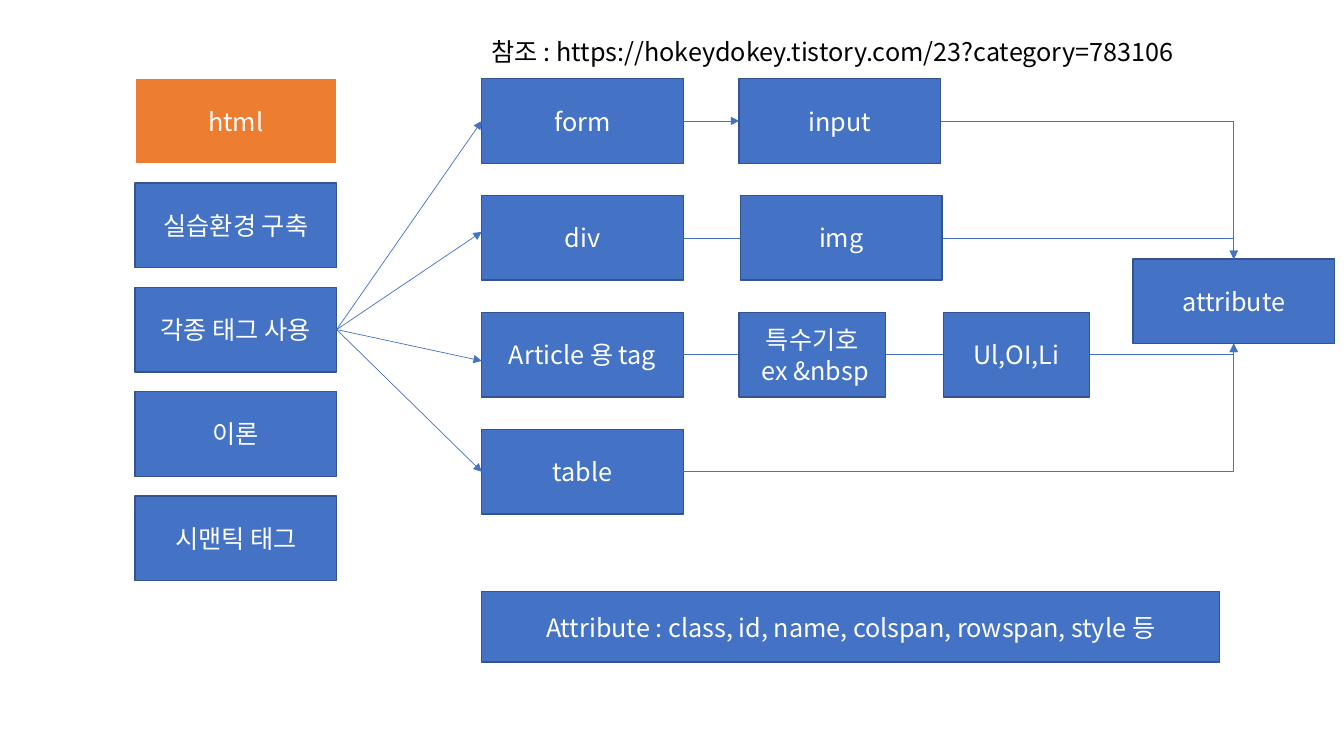
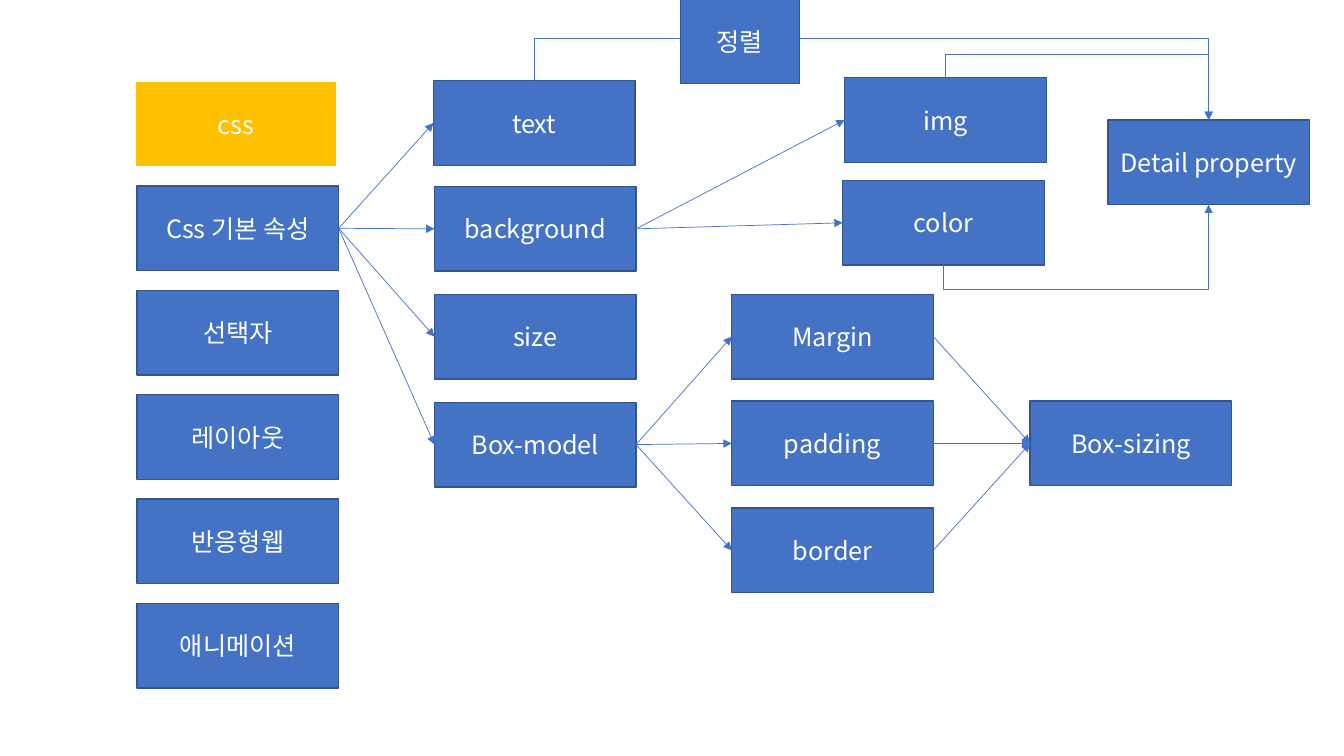
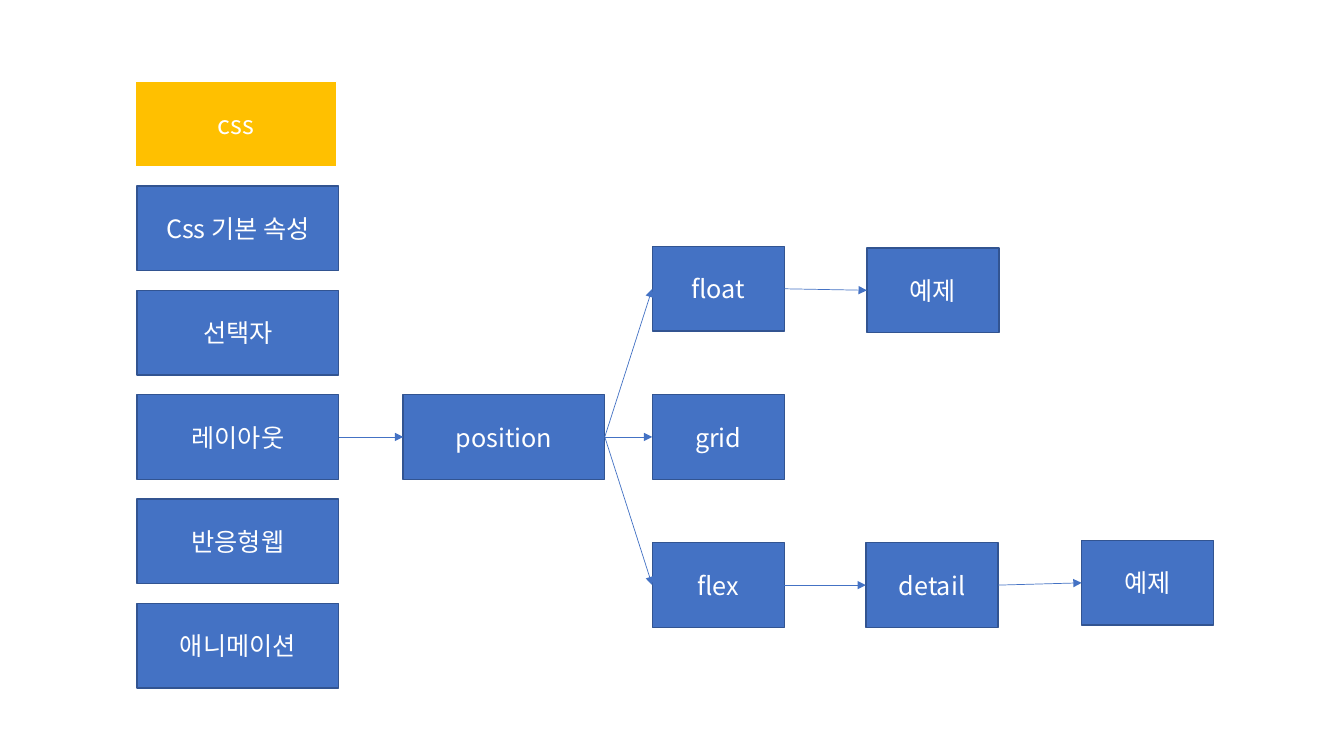
from lxml import etree
from pptx import Presentation
from pptx.dml.color import RGBColor
from pptx.enum.shapes import MSO_CONNECTOR, MSO_SHAPE
from pptx.enum.text import MSO_ANCHOR, MSO_AUTO_SIZE, PP_ALIGN
from pptx.oxml.ns import qn
from pptx.util import Inches, Pt

RECT = MSO_SHAPE.RECTANGLE
STRAIGHT, ELBOW = MSO_CONNECTOR.STRAIGHT, MSO_CONNECTOR.ELBOW
MIDDLE, CENTER = MSO_ANCHOR.MIDDLE, PP_ALIGN.CENTER
GROW = MSO_AUTO_SIZE.SHAPE_TO_FIT_TEXT
TOP, LEFT, BOTTOM, RIGHT = range(4)

FONT = "Noto Sans CJK KR"
BLUE, NAVY, ORANGE, GOLD = "4472C4", "325491", "ED7D31", "FFC000"
WHITE, BLACK = "FFFFFF", "000000"
BOX_WIDTH, BOX_HEIGHT = 15, 11.2
MENU_LEFT, MENU_PITCH = 10.05, 13.8


def rgb(value):
    return RGBColor.from_string(value)


def site(shape, side):
    x = shape.left + {LEFT: 0, RIGHT: shape.width}.get(side, shape.width // 2)
    y = shape.top + {TOP: 0, BOTTOM: shape.height}.get(side, shape.height // 2)
    return x, y


class Map:
    """Draws topic maps on a grid of 100 columns by 100 rows per slide."""

    def __init__(self):
        self.deck = Presentation()
        self.deck.slide_width, self.deck.slide_height = Inches(13.333), Inches(7.5)
        self.shapes = None

    def new_slide(self):
        self.shapes = self.deck.slides.add_slide(self.deck.slide_layouts[6]).shapes

    def x(self, columns):
        return round(self.deck.slide_width * columns / 100)

    def y(self, rows):
        return round(self.deck.slide_height * rows / 100)

    def area(self, left, top, width, height):
        return self.x(left), self.y(top), self.x(width), self.y(height)

    def set_text(self, frame, text, color, align=None):
        frame.word_wrap = True
        frame.text = text
        for paragraph in frame.paragraphs:
            paragraph.alignment = align
            font = paragraph.font
            font.name, font.size = FONT, Pt(18)
            font.color.rgb = rgb(color)
            style = paragraph._p.pPr.find(qn("a:defRPr"))
            etree.SubElement(style, qn("a:ea")).set("typeface", FONT)

    def box(self, text, left, top, width=BOX_WIDTH, height=BOX_HEIGHT, fill=BLUE, line=NAVY):
        box = self.shapes.add_shape(RECT, *self.area(left, top, width, height))
        box.shadow.inherit = False
        box.fill.solid()
        box.fill.fore_color.rgb = rgb(fill)
        box.line.color.rgb = rgb(line)
        box.line.width = Pt(1)
        box.text_frame.vertical_anchor = MIDDLE
        self.set_text(box.text_frame, text, WHITE, CENTER)
        return box

    def stack(self, labels, left, top, pitch, width=BOX_WIDTH):
        return [self.box(label, left, top + row * pitch, width)
                for row, label in enumerate(labels)]

    def menu(self, title, fill, labels, top, left):
        self.box(title, MENU_LEFT, top, fill=fill, line=WHITE)
        return self.stack(labels, left, top + MENU_PITCH, MENU_PITCH)

    def caption(self, text, left, top, width, height):
        caption = self.shapes.add_textbox(*self.area(left, top, width, height))
        self.set_text(caption.text_frame, text, BLACK)
        caption.text_frame.auto_size = GROW

    def arrow(self, source, target, out=RIGHT, into=LEFT, kind=STRAIGHT, shift=0):
        start, (end_x, end_y) = site(source, out), site(target, into)
        arrow = self.shapes.add_connector(kind, *start, end_x, end_y + self.y(shift))
        arrow.begin_connect(source, out)
        if not shift:
            arrow.end_connect(target, into)
        arrow.line.color.rgb = rgb(BLUE)
        arrow.line.width = Pt(0.5)
        properties = arrow._element.spPr
        etree.SubElement(properties.find(qn("a:ln")), qn("a:tailEnd")).set("type", "triangle")
        etree.SubElement(properties, qn("a:effectLst"))
        return arrow

    def fan(self, source, targets):
        for target in targets:
            self.arrow(source, target)

    def corner(self, source, target, into):
        arrow = self.arrow(source, target, into=into, kind=ELBOW)
        arrow._element.spPr.find(qn("a:prstGeom")).set("prst", "bentConnector2")

    def detour(self, source, target, side, into, bend):
        arrow = self.arrow(source, target, side, into, ELBOW)
        (x1, y1), (x2, y2) = site(source, side), site(target, into)
        run, rise = x2 - x1, y2 - y1
        arrow.left, arrow.top = (x1 + x2 - abs(rise)) // 2, (y1 + y2 - run) // 2
        arrow.width, arrow.height = abs(rise), run
        properties = arrow._element.spPr
        frame = properties.find(qn("a:xfrm"))
        frame.set("rot", str(90 * 60000))
        frame.set("flipH", "1" if rise < 0 else "0")
        frame.set("flipV", "1")
        guides = properties.find(qn("a:prstGeom")).find(qn("a:avLst"))
        guide = etree.SubElement(guides, qn("a:gd"))
        guide.set("name", "adj1")
        guide.set("fmla", f"val {round((self.y(bend) - y1) / rise * 100000)}")


def html_slide(page):
    page.new_slide()
    topics = ["실습환경 구축", "각종 태그 사용", "이론", "시맨틱 태그"]
    tag_usage = page.menu("html", ORANGE, topics, 10.4, MENU_LEFT)[1]
    tags_left, tags_top, pitch, detail_left = 35.85, 10.4, 15.47, 55
    tags = page.stack(["form", "div", "Article 용 tag", "table"], tags_left, tags_top, pitch)
    form, div, article, table = tags
    for tag, shift in zip(tags, (0, -0.8, 0.8, 0)):
        page.arrow(tag_usage, tag, shift=shift)
    form_input = page.box("input", detail_left, tags_top)
    page.arrow(form, form_input)
    attribute = page.box("attribute", 84.3, 34.27)
    for source, side in ((form_input, TOP), (div, TOP), (article, BOTTOM), (table, BOTTOM)):
        page.corner(source, attribute, side)
    page.caption("참조 : https://hokeydokey.tistory.com/23?category=783106",
                 tags_left, 4.13, 60.15, 5.33)
    article_top = tags_top + 2 * pitch
    page.box("특수기호\n ex &nbsp", detail_left, article_top, 10.88)
    page.box("Ul,OI,Li", 70.2, article_top, 10.88)
    page.box("Attribute : class, id, name, colspan, rowspan, style 등",
             tags_left, 78.27, 54.9, 9.33)
    page.box("img", detail_left + 0.1, tags_top + pitch)


def css_menu(page):
    page.new_slide()
    topics = ["Css 기본 속성", "선택자", "레이아웃", "반응형웹", "애니메이션"]
    return page.menu("css", GOLD, topics, 10.8, 10.2)


def css_properties_slide(page):
    basics = css_menu(page)[0]
    text = page.box("text", 32.25, 10.67)
    background, size, box_model = page.stack(
        ["background", "size", "Box-model"], 32.33, 24.67, 14.27)
    page.fan(basics, [text, background, size, box_model])
    layers = page.stack(["Margin", "padding", "border"], 54.45, 38.93, 14.13)
    page.fan(box_model, layers)
    box_sizing = page.box("Box-sizing", 76.65, 53.06)
    for layer in layers:
        page.arrow(layer, box_sizing)
    image = page.box("img", 62.85, 10.27)
    color = page.box("color", 62.7, 23.87)
    page.fan(background, [image, color])
    detail = page.box("Detail property", 82.43, 15.87)
    page.detour(text, detail, TOP, TOP, 5.07)
    page.detour(color, detail, BOTTOM, BOTTOM, 38.27)
    page.detour(image, detail, TOP, TOP, 7.2)
    page.box("정렬", 50.63, -0.13, 8.85)


def css_layout_slide(page):
    layout = css_menu(page)[2]
    narrow = 9.83
    position = page.box("position", 30, 52.2)
    page.arrow(layout, position)
    methods = page.stack(["float", "grid", "flex"], 48.53, 32.6, 19.6, narrow)
    page.fan(position, methods)
    float_example = page.box("예제", 64.5, 32.8, narrow)
    flex_detail = page.box("detail", 64.43, 71.8, narrow)
    flex_example = page.box("예제", 80.48, 71.5, narrow)
    page.arrow(methods[0], float_example)
    page.arrow(methods[2], flex_detail)
    page.arrow(flex_detail, flex_example)


def main():
    page = Map()
    html_slide(page)
    css_properties_slide(page)
    css_layout_slide(page)
    page.deck.save("out.pptx")


if __name__ == "__main__":
    main()
